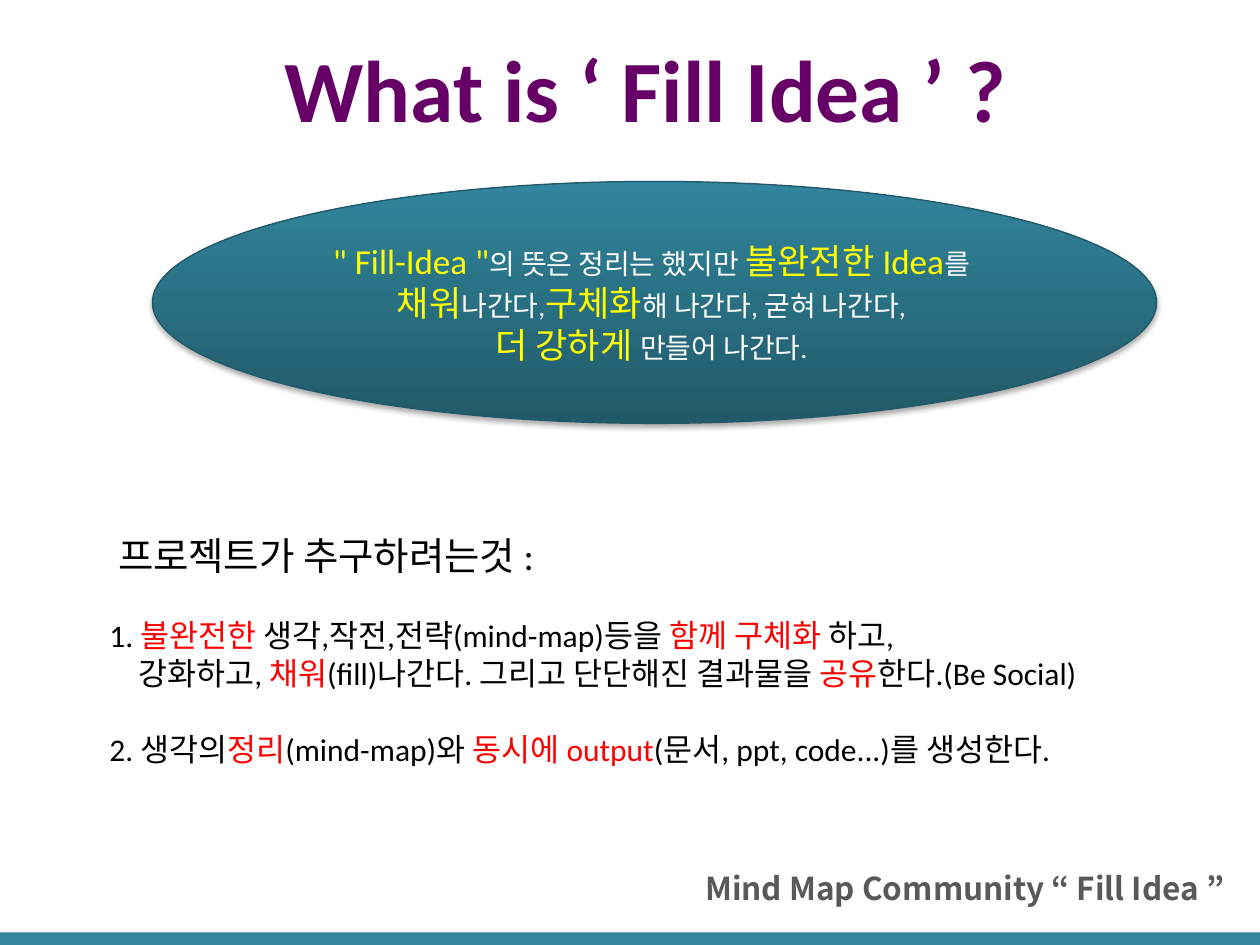
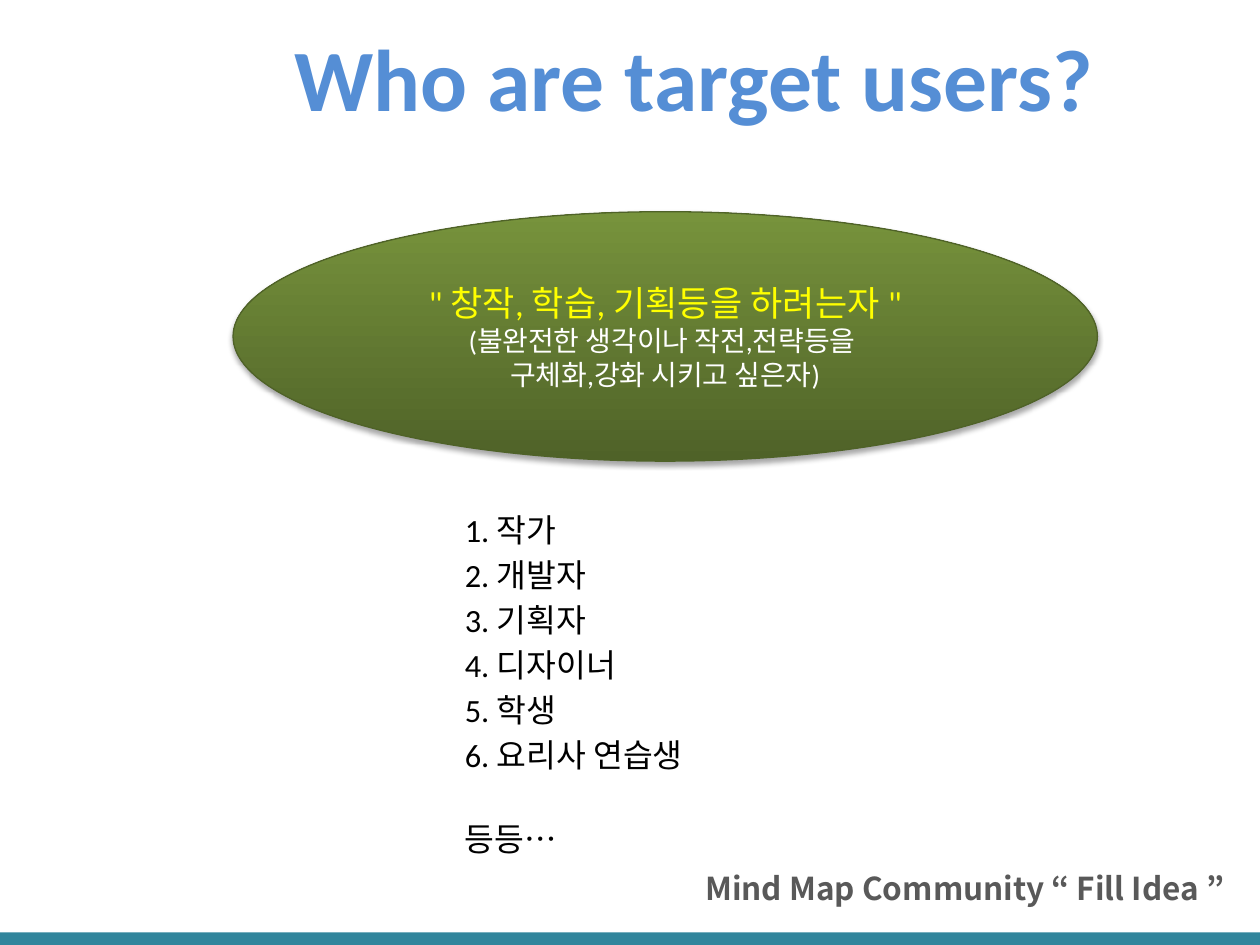
"""Build two slides that introduce the Fill Idea community and its users."""
from dataclasses import dataclass

from lxml.etree import SubElement
from pptx import Presentation
from pptx.dml.color import RGBColor
from pptx.enum.shapes import MSO_SHAPE
from pptx.enum.text import MSO_ANCHOR, MSO_AUTO_SIZE, PP_ALIGN
from pptx.oxml.ns import qn
from pptx.util import Emu, Pt

PX = 9144
LATIN, KOREAN = "Calibri", "Noto Sans CJK KR"
BLACK, WHITE, RED, YELLOW = "000000", "FFFFFF", "FF0000", "FFFF00"
PURPLE, BLUE, GREY = "660066", "558ED5", "595959"
TEAL, DARK_TEAL, GREEN, DARK_GREEN = "31859C", "215968", "77933C", "4F6228"


@dataclass(frozen=True)
class Run:
    """A piece of text in one style."""
    text: str
    size: float
    color: str = BLACK
    font: str = LATIN
    bold: bool = False


@dataclass(frozen=True)
class Para:
    """A paragraph with its spacing in points and left margin in px."""
    runs: list[Run]
    before: float = 0
    margin: int = 0
    align: PP_ALIGN = PP_ALIGN.LEFT


@dataclass(frozen=True)
class Box:
    """A rectangle in px, 100 to the inch."""
    left: int
    top: int
    width: int
    height: int

    def emu(self) -> list[Emu]:
        """Return the sides in EMU."""
        return [Emu(v * PX) for v in (self.left, self.top, self.width, self.height)]


@dataclass(frozen=True)
class Bubble:
    """A shaded ellipse with a message."""
    box: Box
    light: str
    dark: str
    paras: list[Para]


@dataclass(frozen=True)
class Page:
    """The parts that differ from slide to slide."""
    title: str
    title_box: Box
    title_color: str
    bubble: Bubble
    body_box: Box
    body: list[Para]


def rgb(color: str) -> RGBColor:
    """Turn a hex string into a colour."""
    return RGBColor.from_string(color)


def write(tf, paras: list[Para]) -> None:
    """Write paragraphs run by run into a text frame."""
    for i, para in enumerate(paras):
        p = tf.add_paragraph() if i else tf.paragraphs[0]
        p.alignment = para.align
        p.space_before = Pt(para.before)
        if para.margin:
            p._p.get_or_add_pPr().set("marL", str(para.margin * PX))
        for run in para.runs:
            r = p.add_run()
            r.text = run.text
            r.font.size, r.font.bold, r.font.name = Pt(run.size), run.bold, run.font
            r.font.color.rgb = rgb(run.color)
            SubElement(r.font._element, qn("a:ea"), typeface=run.font)


def add_text(s, box: Box, paras: list[Para], wrap: bool = True, grow: bool = True) -> None:
    """Add a text box."""
    tf = s.shapes.add_textbox(*box.emu()).text_frame
    tf.word_wrap = wrap
    tf.auto_size = MSO_AUTO_SIZE.SHAPE_TO_FIT_TEXT if grow else MSO_AUTO_SIZE.NONE
    write(tf, paras)


def add_band(s) -> None:
    """Add the band along the bottom edge."""
    sp = s.shapes.add_shape(MSO_SHAPE.RECTANGLE, *Box(0, 740, 1000, 13).emu())
    sp.shadow.inherit = False
    sp.fill.solid()
    sp.fill.fore_color.rgb = rgb(TEAL)
    sp.line.fill.background()


def add_bubble(s, bubble: Bubble) -> None:
    """Add an ellipse with a gradient, a soft shadow and centred text."""
    sp = s.shapes.add_shape(MSO_SHAPE.OVAL, *bubble.box.emu())
    sp.fill.gradient()
    sp.fill.gradient_angle = 90
    for stop, color in zip(sp.fill.gradient_stops, (bubble.dark, bubble.light)):
        stop.color.rgb = rgb(color)
    sp.line.color.rgb = rgb(bubble.dark)
    sp.line.width = Pt(0.75)
    sp.shadow.inherit = False
    effects = sp._element.spPr.find(qn("a:effectLst"))
    shadow = SubElement(effects, qn("a:outerShdw"), blurRad=str(Pt(3.1)), dist=str(Pt(1.8)),
                        dir="5400000", rotWithShape="0")
    SubElement(SubElement(shadow, qn("a:srgbClr"), val=BLACK), qn("a:alpha"), val="35000")
    sp.text_frame.vertical_anchor = MSO_ANCHOR.MIDDLE
    sp.text_frame.word_wrap = True
    write(sp.text_frame, bubble.paras)


def add_page(prs, page: Page) -> None:
    """Add one slide with the shared band, title style and footer."""
    s = prs.slides.add_slide(prs.slide_layouts[6])
    add_band(s)
    title = Run(page.title, 50, page.title_color, bold=True)
    add_text(s, page.title_box, [Para([title])], wrap=False)
    add_bubble(s, page.bubble)
    footer = Run("Mind Map Community “ Fill Idea ”", 18, GREY, KOREAN, True)
    add_text(s, Box(550, 685, 690, 40), [Para([footer], align=PP_ALIGN.JUSTIFY)])
    add_text(s, page.body_box, page.body, grow=False)


def key(text: str) -> Run:
    """Return a large yellow run for a bubble."""
    return Run(text, 20, YELLOW)


def plain(text: str) -> Run:
    """Return a small white run for a bubble."""
    return Run(text, 16, WHITE)


def centred(*runs: Run) -> Para:
    """Return a centred paragraph."""
    return Para(list(runs), align=PP_ALIGN.CENTER)


def goal(*texts: str, before: float = 0, margin: int = 0) -> Para:
    """Return a paragraph whose texts alternate between black and red."""
    runs = [Run(t, 18, (BLACK, RED)[i % 2]) for i, t in enumerate(texts)]
    return Para(runs, before, margin)


USERS = ["작가", "개발자", "기획자", "디자이너", "학생", "요리사 연습생"]

PAGES = [
    Page(
        "What is ‘ Fill Idea ’ ?", Box(216, 23, 616, 94), PURPLE,
        Bubble(Box(121, 144, 797, 192), TEAL, DARK_TEAL, [
            centred(key('" Fill-Idea "'), plain("의 뜻은 정리는 했지만 "),
                    key("불완전한 Idea"), plain("를 ")),
            centred(key("채워"), plain("나간다,"), key("구체화"),
                    plain("해 나간다, 굳혀 나간다, ")),
            centred(key("더 강하게 "), plain("만들어 나간다. ")),
        ]),
        Box(77, 417, 923, 229), [
            Para([Run("프로젝트가 추구하려는것 :", 22)], margin=7),
            goal("1. ", "불완전한", " 생각,작전,전략(mind-map)등을 ", "함께 구체화 ", "하고,",
                 before=22),
            goal("강화하고, ", "채워", "(fill)나간다. 그리고 단단해진 결과물을 ", "공유",
                 "한다.(Be Social)", margin=23),
            goal("2. 생각의", "정리", "(mind-map)와 ", "동시에 output",
                 "(문서, ppt, code...)를 생성한다.", before=22),
        ]),
    Page(
        "Who are target users?", Box(224, 14, 664, 94), BLUE,
        Bubble(Box(185, 168, 686, 198), GREEN, DARK_GREEN, [
            centred(key('" 창작, 학습, 기획등을 하려는자 "')),
            centred(plain("(불완전한 생각이나 작전,전략등을 ")),
            centred(plain("구체화,강화 시키고 싶은자)")),
        ]),
        Box(359, 400, 355, 285), [
            *(Para([Run(f"{i}. {user}", 18.5)], 3.5) for i, user in enumerate(USERS, 1)),
            Para([Run("등등…", 18.5, font=KOREAN)], 25.5),
        ]),
]


def main() -> None:
    """Build and save the presentation."""
    prs = Presentation()
    prs.slide_width, prs.slide_height = Emu(1000 * PX), Emu(750 * PX)
    for page in PAGES:
        add_page(prs, page)
    prs.save("out.pptx")


if __name__ == "__main__":
    main()
